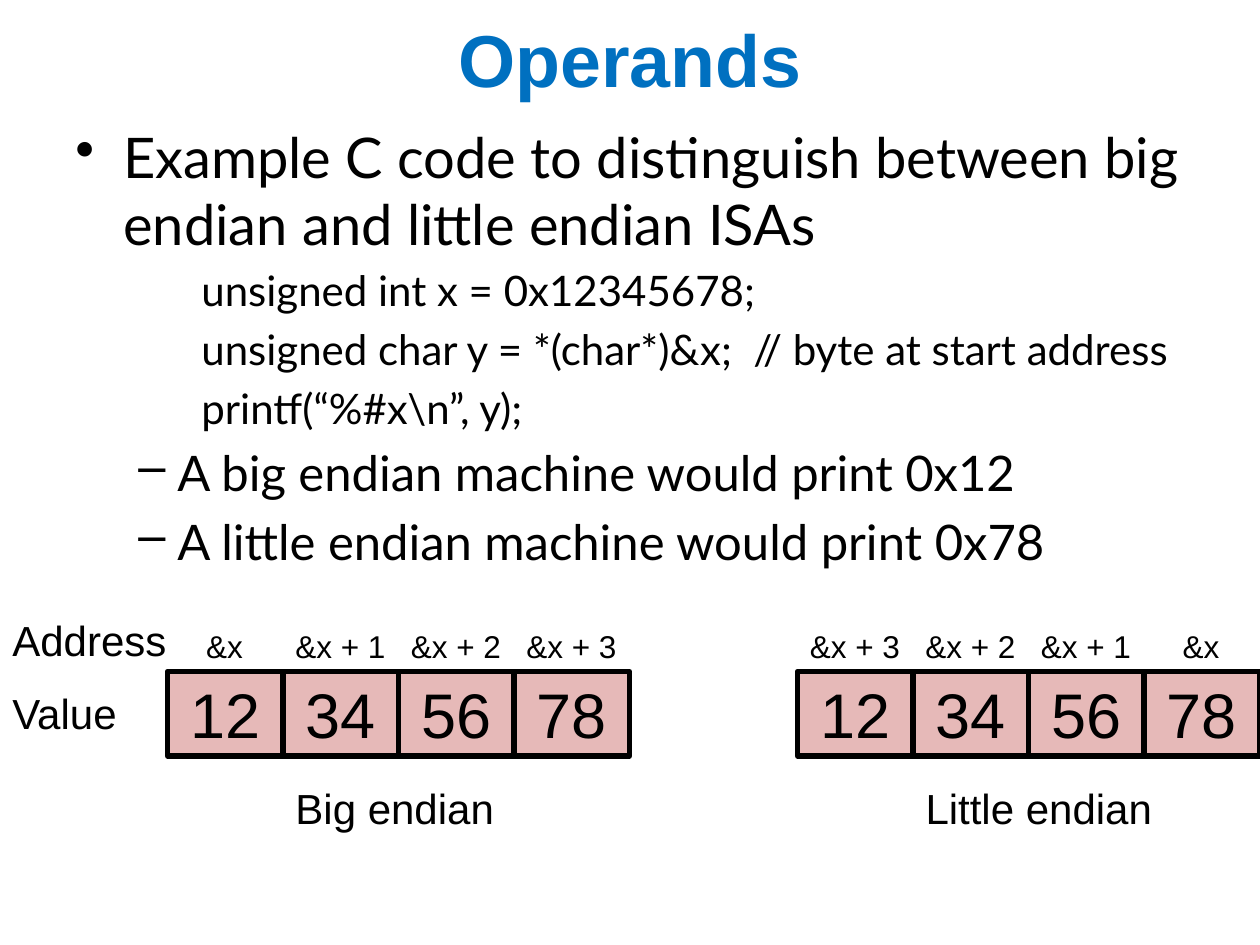
import pptx
import pptx.dml.color
import pptx.enum.shapes
import pptx.enum.text
import pptx.oxml.ns
import pptx.util
from lxml import etree

Inches = pptx.util.Inches
Pt = pptx.util.Pt
ALIGN = pptx.enum.text.PP_ALIGN
ANCHOR = pptx.enum.text.MSO_ANCHOR

CELL_WIDTH = 2.75 / 3
CELL_HEIGHT = 0.67


def color(value):
    """Turn a hex string into a colour."""
    return pptx.dml.color.RGBColor.from_string(value)


def style(para, size, font="Arial", ink="000000", bold=False):
    """Format every run of a paragraph."""
    for span in para.runs:
        span.font.size = Pt(size)
        span.font.name = font
        span.font.bold = bold
        span.font.color.rgb = color(ink)


def add_label(page, text, left, top, width, height, size):
    """Add a one-line label that does not wrap."""
    box = page.shapes.add_textbox(Inches(left), Inches(top), Inches(width), Inches(height))
    box.text_frame.word_wrap = False
    box.text_frame.text = text
    style(box.text_frame.paragraphs[0], size)


def add_title(page, text, left, top, width, height):
    """Add the centred slide title."""
    box = page.shapes.add_textbox(Inches(left), Inches(top), Inches(width), Inches(height))
    frame = box.text_frame
    frame.word_wrap = True
    frame.vertical_anchor = ANCHOR.MIDDLE
    frame.text = text
    frame.paragraphs[0].alignment = ALIGN.CENTER
    style(frame.paragraphs[0], 42, ink="0070C0", bold=True)


def add_body(page, items, left, top, width, height):
    """Add the outline; each item is a level and its text."""
    # level: size, left margin, first-line indent, bullet
    levels = {0: (32, 0.38, -0.38, "•"), 1: (28, 0.81, -0.31, "–"), 2: (24, 1, 0, None)}
    box = page.shapes.add_textbox(Inches(left), Inches(top), Inches(width), Inches(height))
    frame = box.text_frame
    frame.word_wrap = True
    frame.text = "\n".join(text for level, text in items)
    for para, (level, text) in zip(frame.paragraphs, items):
        size, margin, indent, bullet = levels[level]
        para.level = level
        para.space_before = Pt(size * 0.2)
        style(para, size, "Lato")
        properties = para._p.get_or_add_pPr()
        properties.set("marL", str(Inches(margin)))
        properties.set("indent", str(Inches(indent)))
        tag = "a:buChar" if bullet else "a:buNone"
        mark = etree.SubElement(properties, pptx.oxml.ns.qn(tag))
        if bullet:
            mark.set("char", bullet)


def add_memory(page, caption, addresses, left, top):
    """Add a row of byte cells with addresses above and a caption below."""
    for index, (value, address) in enumerate(zip(("12", "34", "56", "78"), addresses)):
        cell_left = left + index * CELL_WIDTH
        cell = page.shapes.add_shape(
            pptx.enum.shapes.MSO_SHAPE.RECTANGLE, Inches(cell_left), Inches(top),
            Inches(CELL_WIDTH), Inches(CELL_HEIGHT))
        cell.shadow.inherit = False
        cell.fill.solid()
        cell.fill.fore_color.rgb = color("E6B9B8")
        cell.line.color.rgb = color("000000")
        cell.line.width = Pt(3)
        cell.text_frame.vertical_anchor = ANCHOR.MIDDLE
        cell.text_frame.text = value
        para = cell.text_frame.paragraphs[0]
        para.alignment = ALIGN.CENTER
        style(para, 36)
        width = 0.5 if address == "&x" else CELL_WIDTH
        add_label(page, address, cell_left + (CELL_WIDTH - width) / 2, top - 0.4, width, 0.4, 18)
    caption_width = 1.8 if len(caption) < 12 else 2.02
    add_label(page, caption, left + CELL_WIDTH, top + 0.83, caption_width, 0.5, 24)


def build_slide(page):
    """Place the title, the outline and both memory rows."""
    add_title(page, "Operands", 0, 0, 10, 0.92)
    add_body(page, [
        (0, "Example C code to distinguish between big endian and little endian ISAs"),
        (2, "unsigned int x = 0x12345678;"),
        (2, "unsigned char y = *(char*)&x;  // byte at start address"),
        (2, "printf(“%#x\\n”, y);"),
        (1, "A big endian machine would print 0x12"),
        (1, "A little endian machine would print 0x78"),
    ], 0.5, 0.92, 9.5, 6.58)
    addresses = ["&x", "&x + 1", "&x + 2", "&x + 3"]
    add_label(page, "Address", 0, 4.83, 1.44, 0.5, 24)
    add_label(page, "Value", 0, 5.41, 1.04, 0.5, 24)
    add_memory(page, "Big endian", addresses, 1.33, 5.33)
    add_memory(page, "Little endian", addresses[::-1], 6.33, 5.33)


deck = pptx.Presentation()
deck.slide_width = Inches(10)
deck.slide_height = Inches(7.5)
build_slide(deck.slides.add_slide(deck.slide_layouts[6]))
deck.save("out.pptx")
